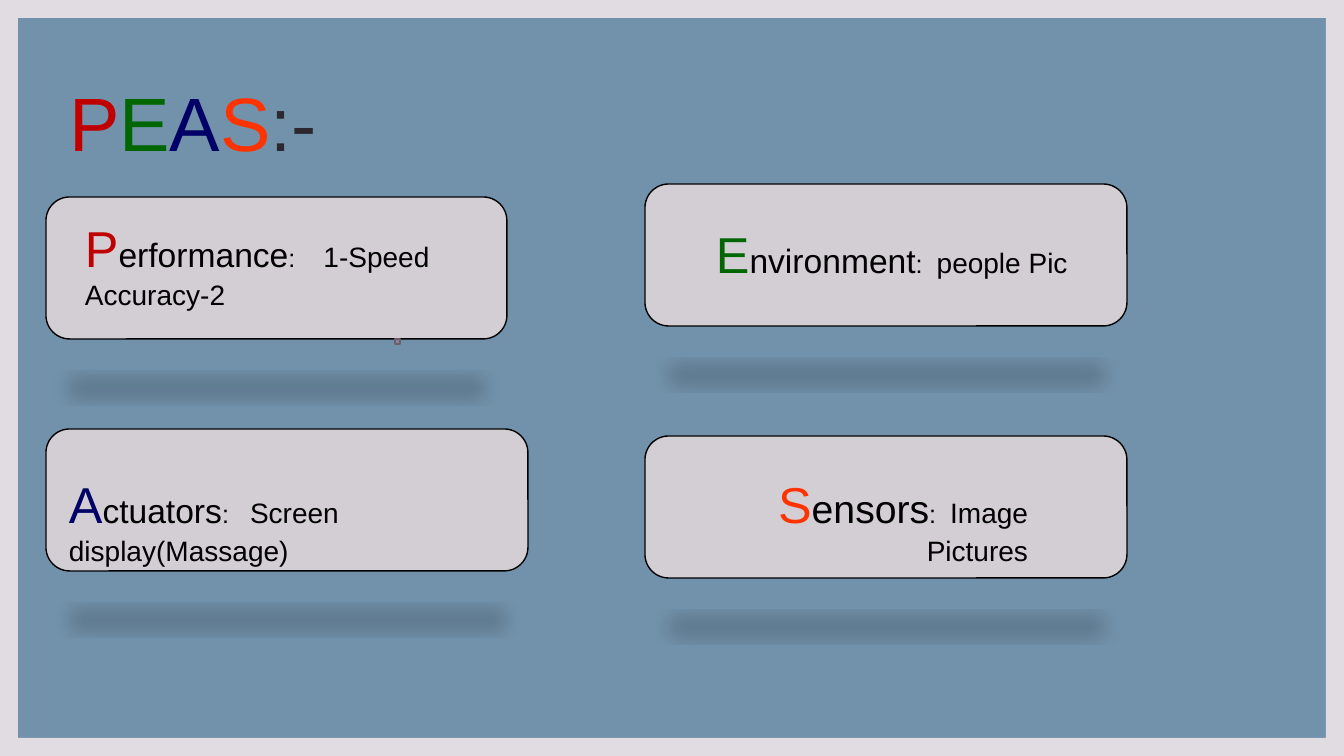
from lxml import etree
from pptx import Presentation
from pptx.dml.color import RGBColor
from pptx.enum.shapes import MSO_SHAPE
from pptx.enum.text import MSO_ANCHOR, PP_ALIGN
from pptx.oxml import parse_xml
from pptx.util import Pt

ROUND, RECT, FRAME = MSO_SHAPE.ROUNDED_RECTANGLE, MSO_SHAPE.RECTANGLE, MSO_SHAPE.FRAME
LEFT, RIGHT = PP_ALIGN.LEFT, PP_ALIGN.RIGHT
BOTTOM = MSO_ANCHOR.BOTTOM
WIDE, HIGH, EDGE = 1344, 756, 18
RED, GREEN, NAVY, ORANGE = "C00000", "006600", "000066", "FF3300"
BLACK = "000000"
NS = "http://schemas.openxmlformats.org/drawingml/2006/main"
SHADOW = f"""<a:effectLst xmlns:a="{NS}">
<a:outerShdw blurRad="152400" dist="317500" dir="5400000" sx="90000" sy="-19000" rotWithShape="0">
<a:srgbClr val="000000"><a:alpha val="15000"/></a:srgbClr></a:outerShdw></a:effectLst>"""

# box, letter, colour, rest, rest size, gap in points, lines, text box offset, alignment
CARDS = [
    ((645, 436, 482, 142), "S", ORANGE, "ensors", 28, 5, ["Image Pictures"], (42, 29, 351, 72), RIGHT),
    ((46, 429, 482, 142), "A", NAVY, "ctuators", 24, 10, ["Screen display(Massage)"], (13, 36, 504, 72), LEFT),
    ((645, 184, 482, 142), "E", GREEN, "nvironment", 24, 5, ["people Pic"], (61, 31, 613, 72), LEFT),
    ((46, 197, 461, 142), "P", RED, "erformance", 24, 15, ["1-Speed", "Accuracy-2"], (29, 12, 598, 105), LEFT),
]


def px(n):
    """Turn pixels into EMU."""
    return round(n * 914400 / 100.8)


def tint(hue):
    """Turn a hex string into a colour."""
    return RGBColor.from_string(hue)


def add_run(para, text, size, hue):
    """Add one run of Arial text and return it."""
    run = para.add_run()
    run.text = text
    run.font.name = "Arial"
    run.font.size = Pt(size)
    run.font.color.rgb = tint(hue)
    return run


def add_box(slide, kind, box, fill, line=None):
    """Add a flat preset shape."""
    shape = slide.shapes.add_shape(kind, *map(px, box))
    shape.shadow.inherit = False
    shape.fill.solid()
    shape.fill.fore_color.rgb = tint(fill)
    if line:
        shape.line.color.rgb = tint(line)
        shape.line.width = Pt(1)
    else:
        shape.line.fill.background()
    return shape


def add_frame(slide):
    """Paint the background and its border."""
    slide.background.fill.solid()
    slide.background.fill.fore_color.rgb = tint("7292AB")
    frame = add_box(slide, FRAME, (0, 0, WIDE, HIGH), "E0DCE1")
    frame.adjustments[0] = EDGE / HIGH


def add_title(slide, box):
    """Fill the title with one colour per letter."""
    title = slide.shapes.title
    title.left, title.top, title.width, title.height = map(px, box)
    title.text_frame.vertical_anchor = BOTTOM
    para = title.text_frame.paragraphs[0]
    para.alignment = LEFT
    para.line_spacing = 1.1
    parts = [("P", RED), ("E", GREEN), ("A", NAVY), ("S", ORANGE), (":-", "2C2830")]
    for text, hue in parts:
        add_run(para, text, 54, hue)


def add_card(slide, box, head, hue, rest, size, gap, lines, place, align):
    """Draw a card with its cast shadow and label."""
    card = add_box(slide, ROUND, box, "D3CDD4", BLACK)
    effect = card.element.spPr.find(etree.QName(NS, "effectLst"))
    card.element.spPr.replace(effect, parse_xml(SHADOW))

    x, y, w, h = place
    label = slide.shapes.add_textbox(*map(px, (box[0] + x, box[1] + y, w, h)))
    frame = label.text_frame
    frame.word_wrap = True
    frame.margin_top = px(8)
    para = frame.paragraphs[0]
    para.alignment = align
    add_run(para, head, 36, hue)
    add_run(para, rest, size, BLACK)
    add_run(para, ":", 18, BLACK)
    space = add_run(para, " ", 18, BLACK)
    space.font._element.set("spc", str(gap * 100))
    add_run(para, lines[0], 20, BLACK)
    for line in lines[1:]:
        para = frame.add_paragraph()
        para.alignment = align
        add_run(para, line, 20, BLACK)


def main():
    """Build the slide and save it."""
    deck = Presentation()
    deck.slide_width, deck.slide_height = px(WIDE), px(HIGH)
    slide = deck.slides.add_slide(deck.slide_layouts[5])
    add_frame(slide)
    add_title(slide, (59, 30, 1117, 142))
    for card in CARDS:
        add_card(slide, *card)
    add_box(slide, RECT, (395, 339, 5, 5), "908193", "6B5F6D")
    deck.save("out.pptx")


if __name__ == "__main__":
    main()
